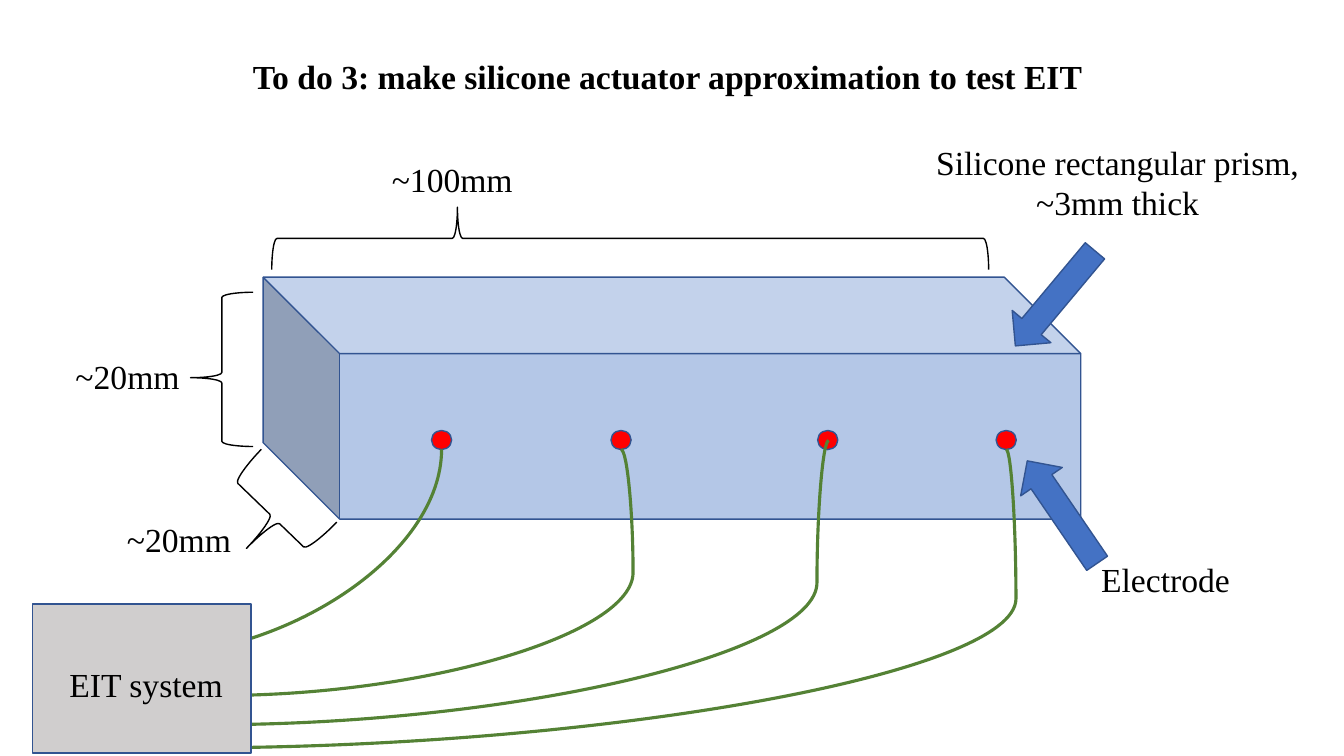
from lxml import etree
from pptx import Presentation
from pptx.dml.color import RGBColor
from pptx.enum.shapes import MSO_CONNECTOR, MSO_SHAPE
from pptx.enum.text import MSO_AUTO_SIZE, PP_ALIGN
from pptx.oxml.ns import qn
from pptx.util import Inches, Pt

BRACE = MSO_SHAPE.LEFT_BRACE
CUBE = MSO_SHAPE.CUBE
ELLIPSE = MSO_SHAPE.OVAL
RECTANGLE = MSO_SHAPE.RECTANGLE
ARROW = MSO_SHAPE.RIGHT_ARROW
CURVE = MSO_CONNECTOR.CURVE
LEFT, CENTER = PP_ALIGN.LEFT, PP_ALIGN.CENTER
FIT_TEXT = MSO_AUTO_SIZE.SHAPE_TO_FIT_TEXT

BLACK = RGBColor(0x00, 0x00, 0x00)
OUTLINE = RGBColor(0x32, 0x54, 0x91)
SILICONE = RGBColor(0xB4, 0xC7, 0xE7)
RED = RGBColor(0xFF, 0x00, 0x00)
GREEN = RGBColor(0x54, 0x82, 0x35)
GRAY = RGBColor(0xD0, 0xCE, 0xCE)
BLUE = RGBColor(0x44, 0x72, 0xC4)

FONT = {"name": "Times New Roman", "size": Pt(24)}


def add_figure(page, kind, place, fill=None, line=OUTLINE, rotation=0, adjust=()):
    """Add a preset shape; without a fill colour it stays open."""
    figure = page.shapes.add_shape(kind, *map(Inches, place))
    figure.shadow.inherit = False
    figure.rotation = rotation
    for index, value in enumerate(adjust):
        figure.adjustments[index] = value
    if fill is None:
        figure.fill.background()
    else:
        figure.fill.solid()
        figure.fill.fore_color.rgb = fill
    figure.line.color.rgb = line
    figure.line.width = Pt(1)
    return figure


def add_brace(page, place, rotation, point):
    add_figure(page, BRACE, place, line=BLACK, rotation=rotation, adjust=(0.083, point))


def add_label(page, text, place, align=CENTER, bold=False):
    box = page.shapes.add_textbox(*map(Inches, place))
    frame = box.text_frame
    frame.word_wrap = True
    frame.auto_size = FIT_TEXT
    para = frame.paragraphs[0]
    para.alignment = align
    span = para.add_run()
    span.text = text
    for name, value in {**FONT, "bold": bold}.items():
        setattr(span.font, name, value)
    span.font.color.rgb = BLACK


def add_wire(page, start, end, bend=None):
    """Add a curved wire: an S shape with a bend, else a quarter turn."""
    wire = page.shapes.add_connector(CURVE, *map(Inches, (*start, *end)))
    wire.line.color.rgb = GREEN
    wire.line.width = Pt(2.25)
    properties = wire._element.spPr
    etree.SubElement(properties, qn("a:effectLst"))
    geometry = properties.find(qn("a:prstGeom"))
    if bend is None:
        geometry.set("prst", "curvedConnector2")
    else:
        guides = geometry.find(qn("a:avLst"))
        if guides is None:
            guides = etree.SubElement(geometry, qn("a:avLst"))
        etree.SubElement(guides, qn("a:gd"), name="adj1", fmla=f"val {round(bend * 100000)}")


def main():
    deck = Presentation()
    deck.slide_width, deck.slide_height = Inches(13.33), Inches(7.5)
    page = deck.slides.add_slide(deck.slide_layouts[6])

    # Title
    add_label(page, "To do 3: make silicone actuator approximation to test EIT",
              (2.41, 0.51, 8.52, 0.5), LEFT, bold=True)

    # Silicone prism, seen from the left
    prism = add_figure(page, CUBE, (2.61, 2.75, 8.11, 2.4), SILICONE, adjust=(0.316,))
    prism._element.spPr.find(qn("a:xfrm")).set("flipH", "1")

    # Electrodes
    for left in (4.28, 6.06, 8.11, 9.88):
        add_figure(page, ELLIPSE, (left, 4.27, 0.2, 0.19), RED)

    # Wires between the electrodes and the EIT system
    for start, end, bend in (
        ((1.35, 6.52), (4.38, 4.46), None),
        ((6.16, 4.46), (2.18, 6.9), -0.03),
        ((8.22, 4.37), (2.08, 7.19), 0.019),
        ((9.98, 4.46), (1.9, 7.42), -0.012),
    ):
        add_wire(page, start, end, bend)

    # EIT system
    add_figure(page, RECTANGLE, (0.32, 5.99, 2.17, 1.48), GRAY)
    add_label(page, "EIT system", (0.59, 6.54, 1.9, 0.5), LEFT)

    # Dimensions: length, height, depth
    for place, rotation, point in (
        ((5.94, -1.19, 0.62, 7.11), 90, 0.741),
        ((1.89, 2.9, 0.62, 1.53), 0, 0.554),
        ((2.28, 4.59, 0.81, 1.04), 314, 0.554),
    ):
        add_brace(page, place, rotation, point)
    for text, left, top in (
        ("~100mm", 3.47, 1.53),
        ("~20mm", 0.25, 3.48),
        ("~20mm", 0.76, 5.1),
    ):
        add_label(page, text, (left, top, 2.03, 0.5))

    # Callouts with arrows
    for text, label_place, left, top, rotation in (
        ("Silicone rectangular prism, ~3mm thick", (8.83, 1.36, 4.51, 0.91), 9.85, 2.71, 129.9),
        ("Electrode", (10.74, 5.5, 1.64, 0.5), 9.92, 4.83, 235.7),
    ):
        add_figure(page, ARROW, (left, top, 1.23, 0.5), BLUE, rotation=rotation)
        add_label(page, text, label_place)

    deck.save("out.pptx")


if __name__ == "__main__":
    main()
